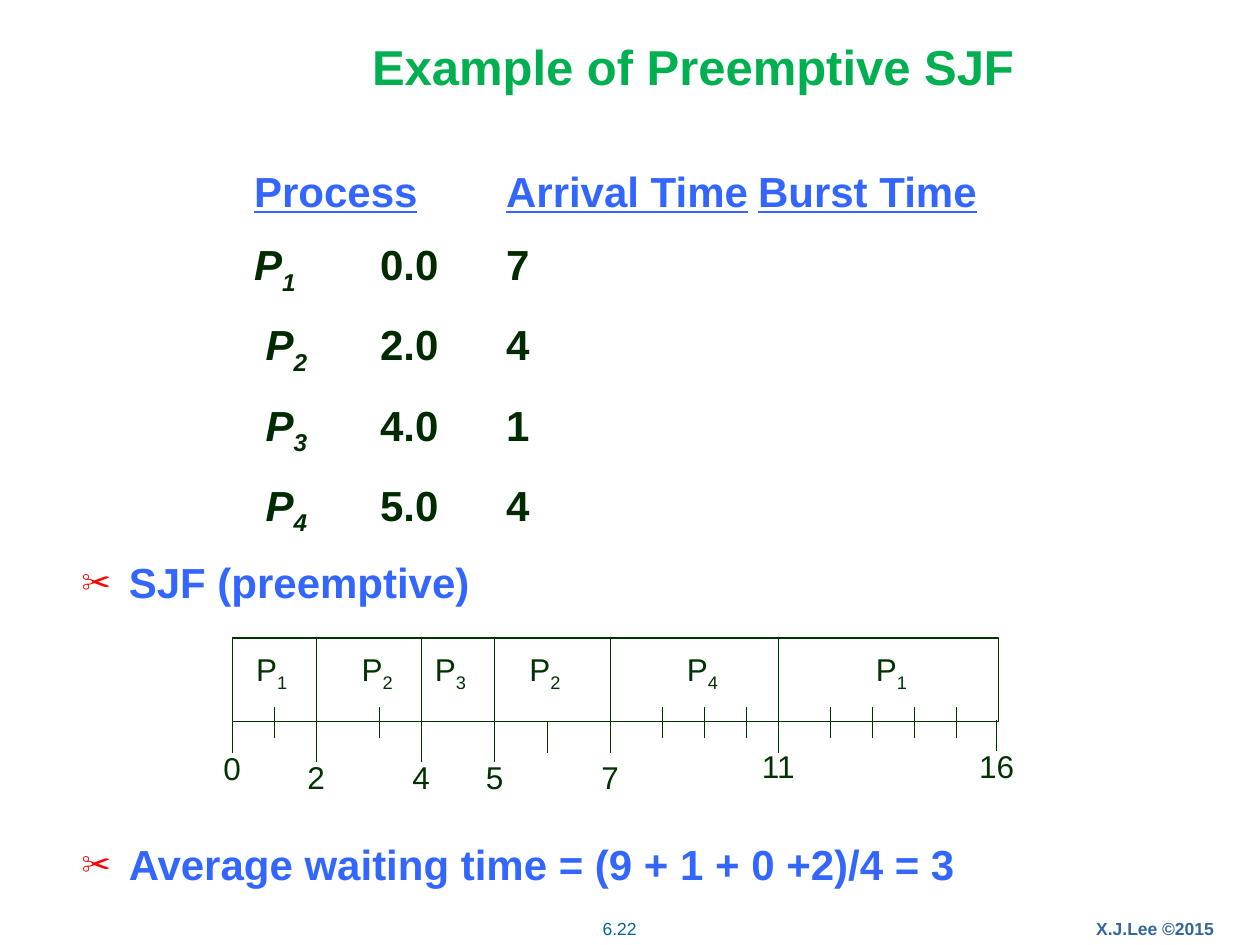
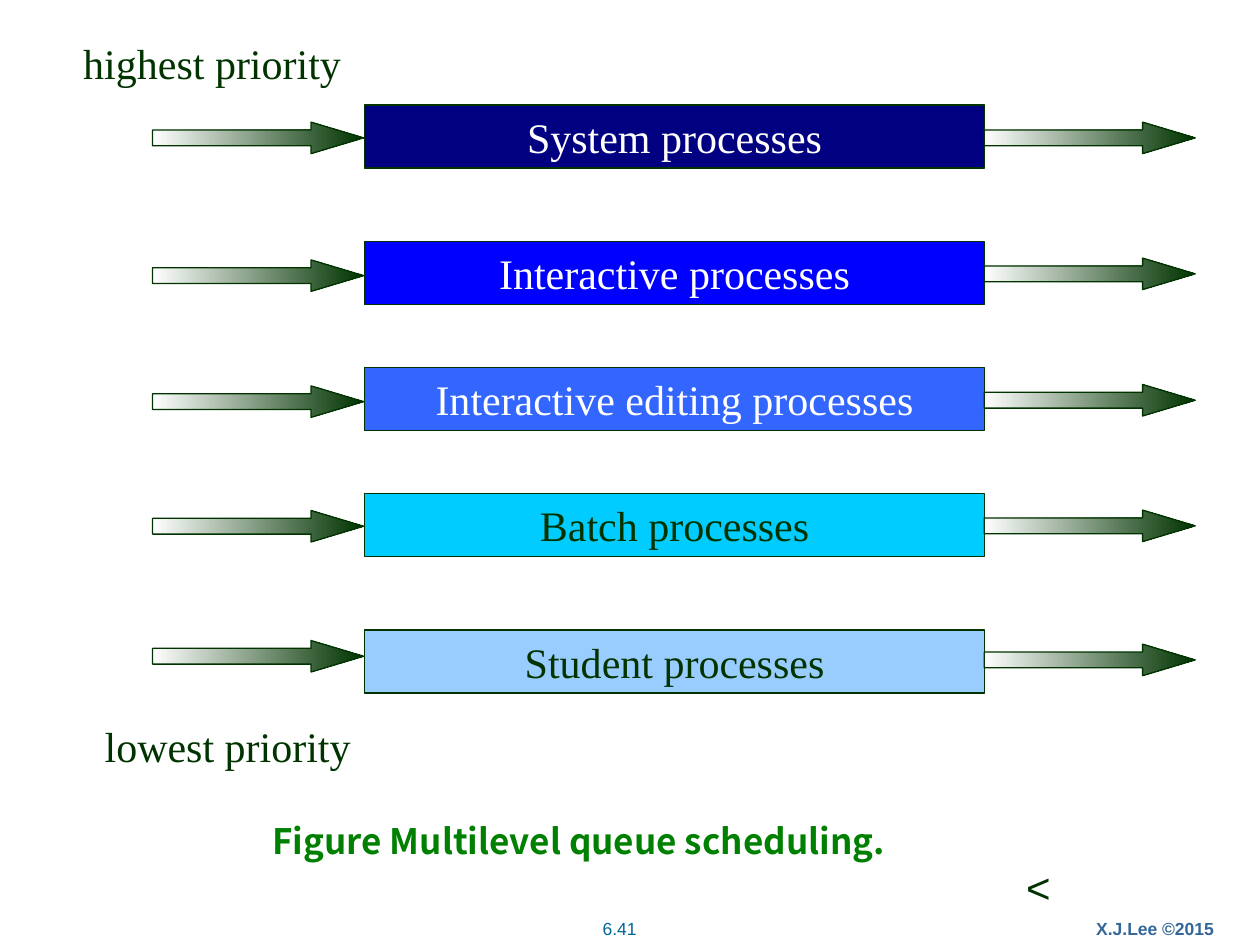
import pptx
import pptx.util
import pptx.dml.color
import pptx.enum.shapes
import pptx.enum.text
import pptx.oxml
import pptx.oxml.ns
import lxml.etree

Pt = pptx.util.Pt
RGBColor = pptx.dml.color.RGBColor
Align = pptx.enum.text.PP_ALIGN
Anchor = pptx.enum.text.MSO_ANCHOR
Shape = pptx.enum.shapes.MSO_SHAPE

WHITE = RGBColor(0xFF, 0xFF, 0xFF)
DARK_GREEN = RGBColor(0x00, 0x33, 0x00)
ROW_GREEN = RGBColor(0x00, 0x2A, 0x00)
TITLE_GREEN = RGBColor(0x00, 0xB0, 0x50)
CAPTION_GREEN = RGBColor(0x00, 0x80, 0x00)
BLUE = RGBColor(0x33, 0x66, 0xFF)
AUTHOR_BLUE = RGBColor(0x33, 0x66, 0x99)
NUMBER_BLUE = RGBColor(0x00, 0x66, 0x99)
NAVY = RGBColor(0x00, 0x00, 0x80)
PURE_BLUE = RGBColor(0x00, 0x00, 0xFF)
CYAN = RGBColor(0x00, 0xCC, 0xFF)
PALE_BLUE = RGBColor(0x99, 0xCC, 0xFF)
BULLET_RED = RGBColor(0xFF, 0x00, 0x00)

SANS = "Arial"
SERIF = "Times New Roman"
CAPTION_FONT = "Noto Sans CJK SC"

AUTHOR = "X.J.Lee ©2015"

SJF_TITLE = "Example of Preemptive SJF"
PROCESS_HEADERS = ["Process", "Arrival Time", "Burst Time"]
PROCESSES = [
    ("1", "0.0", "7", 0),
    ("2", "2.0", "4", 6.6),
    ("3", "4.0", "1", 6.6),
    ("4", "5.0", "4", 6.6),
]
TAB_STEP = 72
BULLETS = [
    ("SJF (preemptive)", 307),
    ("Average waiting time = (9 + 1 + 0 +2)/4 = 3", 468),
]

CHART_TOP, CHART_BOTTOM = 364.5, 412.5
BOUNDARIES = [
    ("0", 132.7, CHART_BOTTOM, 430.5, 424.5),
    ("2", 180.7, 363.8, 435.5, 429.5),
    ("4", 240.7, 363.8, 435.5, 429.5),
    ("5", 282.7, 363.8, 435.5, 429.5),
    ("7", 348.7, CHART_TOP, 430.5, 429.5),
    ("11", 444.7, CHART_TOP, 430.5, 423.2),
    ("16", 569.5, 411.2, 429.2, 423.2),
]
SEGMENTS = [
    ("1", 155.2, 24, 1),
    ("2", 215.6, 36, 1),
    ("3", 257.4, 0, 0),
    ("2", 311.4, 30, 1),
    ("4", 401.4, 30, 3),
    ("1", 509.4, 30, 4),
]
TICK_STEP, TICK_HEIGHT = 24, 18
TICK_TOP = 404
LOW_TICK_SEGMENT = 3

QUEUES = [
    ("System processes", NAVY, WHITE, 60, 69.8, 69.8),
    ("Interactive processes", PURE_BLUE, WHITE, 138.1, 148.5, 147.5),
    ("Interactive editing processes", BLUE, WHITE, 210.1, 220.5, 219.7),
    ("Batch processes", CYAN, DARK_GREEN, 282.1, 291.7, 291.5),
    ("Student processes", PALE_BLUE, DARK_GREEN, 360, 366, 368.1),
]
QUEUE_LEFT, QUEUE_WIDTH, QUEUE_HEIGHT = 208.4, 354.2, 36
ARROW_LEFTS = (87.2, 562.4)
ARROW_WIDTH, ARROW_HEIGHT = 120.6, 18
PRIORITIES = [("lowest priority", 59.8, 408.2), ("highest priority", 47.6, 18)]


def points(*lengths):
    return [Pt(length) for length in lengths]


def add_run(paragraph, text, size, color, font=SANS, bold=False,
            italic=False, underline=False, subscript=False):
    run = paragraph.add_run()
    run.text = text
    run.font.name = font
    run.font.size = Pt(size)
    run.font.color.rgb = color
    run.font.bold = bold
    run.font.italic = italic
    run.font.underline = underline
    if subscript:
        run.font._element.set("baseline", "-25000")


def add_text_box(slide, left, top, width, height, anchor=Anchor.MIDDLE,
                 align=Align.LEFT, wrap=True):
    frame = slide.shapes.add_textbox(*points(left, top, width, height)).text_frame
    frame.margin_left = frame.margin_right = 0
    frame.margin_top = frame.margin_bottom = 0
    frame.word_wrap = wrap
    frame.vertical_anchor = anchor
    frame.paragraphs[0].alignment = align
    return frame


def add_label(slide, text, left, top, width, height, size, color,
              align=Align.CENTER, **style):
    frame = add_text_box(slide, left, top, width, height, align=align)
    add_run(frame.paragraphs[0], text, size, color, **style)


def style_shape(shape):
    shape.shadow.inherit = False
    shape.line.color.rgb = DARK_GREEN
    shape.line.width = Pt(0.75)


def add_vertical_line(slide, x, top, bottom):
    line = slide.shapes.add_connector(
        pptx.enum.shapes.MSO_CONNECTOR.STRAIGHT, *points(x, top, x, bottom))
    line.line.color.rgb = DARK_GREEN
    line.line.width = Pt(0.75)
    add_element(line._element.spPr, "a:effectLst")


def add_element(parent, tag, **attributes):
    element = lxml.etree.SubElement(parent, pptx.oxml.ns.qn(tag))
    for name, value in attributes.items():
        element.set(name, value)
    return element


def set_lengths(paragraph, **lengths):
    properties = paragraph._p.get_or_add_pPr()
    for name, length in lengths.items():
        properties.set(name, str(int(Pt(length))))


def set_scissors_bullet(paragraph):
    properties = paragraph._p.get_or_add_pPr()
    add_element(add_element(properties, "a:buClr"), "a:srgbClr", val=str(BULLET_RED))
    add_element(properties, "a:buSzPct", val="70000")
    add_element(properties, "a:buFont", typeface=SANS)
    add_element(properties, "a:buChar", char="✂")


def new_slide(presentation, number):
    slide = presentation.slides.add_slide(presentation.slide_layouts[6])
    add_label(slide, AUTHOR, 612, 521, 96, 19, 10, AUTHOR_BLUE, bold=True)
    add_label(slide, number, 324, 521, 60, 19, 10, NUMBER_BLUE)
    return slide


def add_process_list(slide):
    frame = add_text_box(slide, 145.2, 77.6, 480, 230, Anchor.TOP)
    header = frame.paragraphs[0]
    rows = [frame.add_paragraph() for process in PROCESSES]
    for paragraph in [header] + rows:
        paragraph.line_spacing = Pt(45.8)
        set_lengths(paragraph, defTabSz=TAB_STEP)
    for index, text in enumerate(PROCESS_HEADERS):
        if index:
            add_run(header, "\t", 24, BLUE, bold=True)
        add_run(header, text, 24, BLUE, bold=True, underline=True)
    for row, (number, arrival, burst, indent) in zip(rows, PROCESSES):
        set_lengths(row, marL=0, indent=indent)
        add_run(row, "P", 24, ROW_GREEN, bold=True, italic=True)
        add_run(row, number, 24, ROW_GREEN, bold=True, italic=True, subscript=True)
        add_run(row, f"\t{arrival}\t{burst}", 24, ROW_GREEN, bold=True)


def add_bullets(slide):
    for text, top in BULLETS:
        paragraph = add_text_box(slide, 46.6, top, 633.6, 40, Anchor.TOP).paragraphs[0]
        paragraph.line_spacing = Pt(40)
        set_lengths(paragraph, marL=27, indent=-27)
        set_scissors_bullet(paragraph)
        add_run(paragraph, text, 24, BLUE, bold=True)


def add_gantt_chart(slide):
    left, right = BOUNDARIES[0][1], 570.5
    bar = slide.shapes.add_shape(Shape.RECTANGLE, *points(
        left, CHART_TOP, right - left, CHART_BOTTOM - CHART_TOP))
    style_shape(bar)
    bar.fill.solid()
    bar.fill.fore_color.rgb = WHITE
    for time, x, line_top, line_bottom, label_top in BOUNDARIES:
        add_vertical_line(slide, x, line_top, line_bottom)
        add_label(slide, time, x - 17, label_top, 34, 28.8, 18, DARK_GREEN)
    for index, (number, center, first_tick, tick_count) in enumerate(SEGMENTS):
        frame = add_text_box(slide, center - 16, 368, 32, 31.6,
                             align=Align.CENTER, wrap=False)
        add_run(frame.paragraphs[0], "P", 18, DARK_GREEN)
        add_run(frame.paragraphs[0], number, 18, DARK_GREEN, subscript=True)
        tick_top = CHART_BOTTOM if index == LOW_TICK_SEGMENT else TICK_TOP
        for tick in range(tick_count):
            x = BOUNDARIES[index][1] + first_tick + tick * TICK_STEP
            add_vertical_line(slide, x, tick_top, tick_top + TICK_HEIGHT)


def build_sjf_slide(presentation):
    slide = new_slide(presentation, "6.22")
    add_label(slide, SJF_TITLE, 90, 13.7, 612, 47.5, 28, TITLE_GREEN, bold=True)
    add_process_list(slide)
    add_bullets(slide)
    add_gantt_chart(slide)


def add_queue_arrow(slide, left, top):
    arrow = slide.shapes.add_shape(
        Shape.RIGHT_ARROW, *points(left, top, ARROW_WIDTH, ARROW_HEIGHT))
    style_shape(arrow)
    arrow.adjustments[0] = 0.5
    arrow.adjustments[1] = 1.67
    arrow.fill.gradient()
    arrow.fill.gradient_angle = 0
    for stop, position, color in zip(arrow.fill.gradient_stops, (0, 1), (WHITE, DARK_GREEN)):
        stop.position = position
        stop.color.rgb = color


def build_queue_slide(presentation):
    slide = new_slide(presentation, "6.41")
    add_label(slide, "<", 579.6, 488.9, 27.4, 36, 24, DARK_GREEN)
    add_label(slide, "Figure Multilevel queue scheduling.", 155.6, 457.5, 490, 46,
              20, CAPTION_GREEN, Align.LEFT, font=CAPTION_FONT, bold=True)
    for name, fill, text_color, top, *arrow_tops in QUEUES:
        queue = slide.shapes.add_shape(Shape.RECTANGLE, *points(
            QUEUE_LEFT, top, QUEUE_WIDTH, QUEUE_HEIGHT))
        style_shape(queue)
        queue.fill.solid()
        queue.fill.fore_color.rgb = fill
        queue.text_frame.vertical_anchor = Anchor.MIDDLE
        paragraph = queue.text_frame.paragraphs[0]
        paragraph.alignment = Align.CENTER
        add_run(paragraph, name, 24, text_color, font=SERIF)
        for left, arrow_top in zip(ARROW_LEFTS, arrow_tops):
            add_queue_arrow(slide, left, arrow_top)
    for text, left, top in PRIORITIES:
        add_label(slide, text, left, top, 160, 36, 24, DARK_GREEN,
                  Align.LEFT, font=SERIF)


def main():
    presentation = pptx.Presentation()
    presentation.slide_width, presentation.slide_height = points(720, 540)
    build_sjf_slide(presentation)
    build_queue_slide(presentation)
    presentation.save("out.pptx")


if __name__ == "__main__":
    main()
